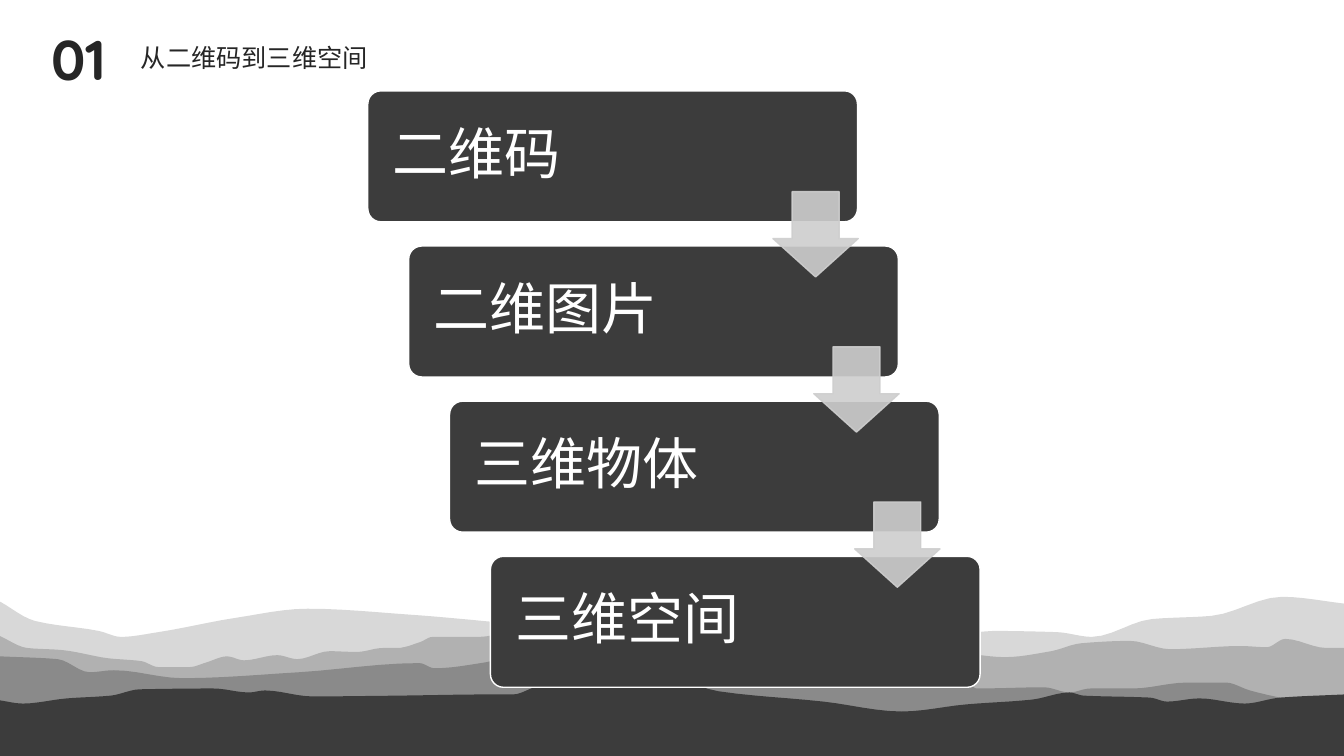
from dataclasses import dataclass

from lxml import etree
from pptx import Presentation
from pptx.dml.color import RGBColor
from pptx.enum.shapes import MSO_SHAPE
from pptx.enum.text import MSO_ANCHOR, PP_ALIGN
from pptx.oxml.ns import qn
from pptx.util import Cm, Pt

ROUNDED, DOWN_ARROW = MSO_SHAPE.ROUNDED_RECTANGLE, MSO_SHAPE.DOWN_ARROW
TOP, MIDDLE = MSO_ANCHOR.TOP, MSO_ANCHOR.MIDDLE
LEFT = PP_ALIGN.LEFT
SLIDE_W, SLIDE_H = 33.87, 19.05


@dataclass(frozen=True)
class Theme:
    font: str = "Quicksand"
    ink: str = "262626"
    dark: str = "3C3C3C"
    arrow: str = "CECECE"
    white: str = "FFFFFF"
    hills: tuple = ("D8D8D8", "B1B1B1", "8A8A8A", "3C3C3C")
    large: int = 40
    heading: int = 18
    line: int = 1


# Ridge lines from the farthest hill to the nearest, in cm
RIDGES = (
    ((0, 15.16), (0.89, 15.65), (2.49, 15.9), (3.05, 16.05), (3.99, 15.93),
     (5.94, 15.57), (7.75, 15.34), (10.34, 15.49), (12.19, 15.65), (13.84, 15.82),
     (15.44, 16.08), (16.46, 15.93), (17.68, 16.03), (18.49, 15.77), (20.7, 15.37),
     (22.5, 15.82), (23.47, 16.13), (25.02, 15.9), (26.64, 15.93), (27.51, 16.05),
     (29.03, 15.6), (30.53, 15.52), (32.31, 15.04), (33.87, 15.21)),
    ((0, 16.03), (0.69, 16.33), (1.55, 16.38), (2.74, 16.59), (3.56, 16.66),
     (3.99, 16.81), (4.78, 16.81), (5.21, 16.69), (5.72, 16.54), (6.15, 16.64),
     (6.99, 16.51), (7.49, 16.61), (8.31, 16.41), (8.99, 16.43), (9.65, 16.33),
     (10.01, 16.33), (10.59, 16.18), (10.9, 16.05), (12.07, 16.05), (13.16, 15.88),
     (14.35, 16.18), (16, 16.26), (17.73, 16.41), (20.04, 16.41), (21.34, 16.51),
     (22.63, 16.43), (24.16, 16.46), (25.32, 16.56), (26.49, 16.41), (27.25, 16.21),
     (28.47, 16.15), (29.49, 16.36), (31.27, 16.28), (31.93, 16.31), (32.39, 16.1),
     (33.43, 16.33), (33.87, 16.33)),
    ((0, 16.54), (1.45, 16.61), (2.26, 16.94), (2.87, 16.89), (4.6, 17.09),
     (7.54, 16.94), (10.57, 16.71), (10.95, 16.84), (12.24, 16.69), (13.31, 16.43),
     (14.4, 16.69), (15.95, 16.84), (16.71, 16.76), (18.03, 16.84), (20.96, 17.02),
     (24.36, 17.17), (24.61, 17.35), (26.31, 17.32), (26.95, 17.45), (27.48, 17.35),
     (28.55, 17.35), (29.92, 17.2), (30.89, 17.2), (31.5, 17.4), (32.26, 17.58),
     (33.87, 17.88)),
    ((0, 17.65), (0.58, 17.73), (1.68, 17.6), (2.79, 17.53), (3.53, 17.37),
     (5.38, 17.35), (6.27, 17.45), (6.68, 17.4), (7.87, 17.55), (10.03, 17.53),
     (12.37, 17.5), (12.93, 17.5), (13.54, 17.3), (15.09, 17.07), (15.95, 16.84),
     (16.56, 16.92), (18.11, 17.42), (20.75, 17.68), (22.73, 17.93), (24.36, 17.75),
     (26.01, 17.63), (26.95, 17.45), (27.31, 17.53), (28.98, 17.58), (29.41, 17.68),
     (30.23, 17.6), (31.37, 17.73), (32.26, 17.58), (33.87, 17.5)),
)
STAGES = ("二维码", "二维图片", "三维物体", "三维空间")


def smooth(ridge, steps=6):
    """Sample a curve through the ridge that is level at every peak and dip."""
    pairs = list(zip(ridge, ridge[1:]))
    rises = [(y1 - y0) / (x1 - x0) for (x0, y0), (x1, y1) in pairs]
    inner = [2 * a * b / (a + b) if a * b > 0 else 0 for a, b in zip(rises, rises[1:])]
    slopes = [rises[0], *inner, rises[-1]]
    points = [ridge[0]]
    for ((x0, y0), (x1, y1)), s0, s1 in zip(pairs, slopes, slopes[1:]):
        width = x1 - x0
        for step in range(1, steps + 1):
            t = step / steps
            ease = t * t * (3 - 2 * t)
            bend = t * (1 - t) * width * (s0 * (1 - t) - s1 * t)
            points.append((x0 + t * width, y0 + (y1 - y0) * ease + bend))
    return points


def write(frame, text, *, font, size, color, bold=False, anchor=TOP, inset=0.25):
    frame.word_wrap = True
    frame.vertical_anchor = anchor
    frame.margin_left = Cm(inset)
    paragraph = frame.paragraphs[0]
    paragraph.alignment = LEFT
    paragraph.line_spacing = 0.9
    run = paragraph.add_run()
    run.text = text
    run.font.name, run.font.size, run.font.bold = font, Pt(size), bold
    run.font.color.rgb = RGBColor.from_string(color)


class StageSlide:
    def __init__(self, slide, theme):
        self.shapes, self.theme = slide.shapes, theme

    def paint(self, shape, fill, line=None, opacity=None):
        shape.shadow.inherit = False
        shape.fill.solid()
        shape.fill.fore_color.rgb = RGBColor.from_string(fill)
        if line is None:
            shape.line.fill.background()
        else:
            shape.line.color.rgb = RGBColor.from_string(line)
            shape.line.width = Pt(self.theme.line)
        if opacity is not None:
            for color in shape._element.spPr.iter(qn("a:srgbClr")):
                etree.SubElement(color, qn("a:alpha")).set("val", str(opacity * 1000))

    def hill(self, ridge, color):
        outline = [*smooth(ridge), (SLIDE_W, SLIDE_H), (0, SLIDE_H)]
        start, *rest = [(Cm(x), Cm(y)) for x, y in outline]
        builder = self.shapes.build_freeform(*start, scale=1.0)
        builder.add_line_segments(rest, close=True)
        self.paint(builder.convert_to_shape(), color)

    def label(self, text, left, top, width, height, **style):
        box = self.shapes.add_textbox(Cm(left), Cm(top), Cm(width), Cm(height))
        write(box.text_frame, text, font=self.theme.font, color=self.theme.ink, **style)

    def stage(self, text, left, top):
        card = self.shapes.add_shape(ROUNDED, Cm(left), Cm(top), Cm(12.34), Cm(3.3))
        card.adjustments[0] = 0.1
        self.paint(card, self.theme.dark, line=self.theme.white)
        write(card.text_frame, text, font=self.theme.font, size=self.theme.large,
              color=self.theme.white, anchor=MIDDLE, inset=0.53)

    def arrow(self, left, top):
        arrow = self.shapes.add_shape(DOWN_ARROW, Cm(left), Cm(top), Cm(2.15), Cm(2.15))
        arrow.adjustments[0], arrow.adjustments[1] = 0.55, 0.45
        self.paint(arrow, self.theme.arrow, line=self.theme.arrow, opacity=90)


def main():
    deck = Presentation()
    deck.slide_width, deck.slide_height = Cm(SLIDE_W), Cm(SLIDE_H)
    theme = Theme()
    page = StageSlide(deck.slides.add_slide(deck.slide_layouts[6]), theme)

    # Hills along the bottom
    for ridge, color in zip(RIDGES, theme.hills):
        page.hill(ridge, color)

    # Section number and heading
    page.label("01", 1.04, 0.69, 2.24, 1.63, size=theme.large, bold=True)
    page.label("从二维码到三维空间", 3.3, 1.02, 6.58, 0.94,
               size=theme.heading, anchor=MIDDLE)

    # Staircase of stages, with an arrow from each to the next
    corners = [(9.27 + 1.03 * i, 2.29 + 3.91 * i) for i in range(len(STAGES))]
    for stage, (left, top) in zip(STAGES, corners):
        page.stage(stage, left, top)
    for left, top in corners[:-1]:
        page.arrow(left + 10.21, top + 2.54)

    deck.save("out.pptx")


if __name__ == "__main__":
    main()
